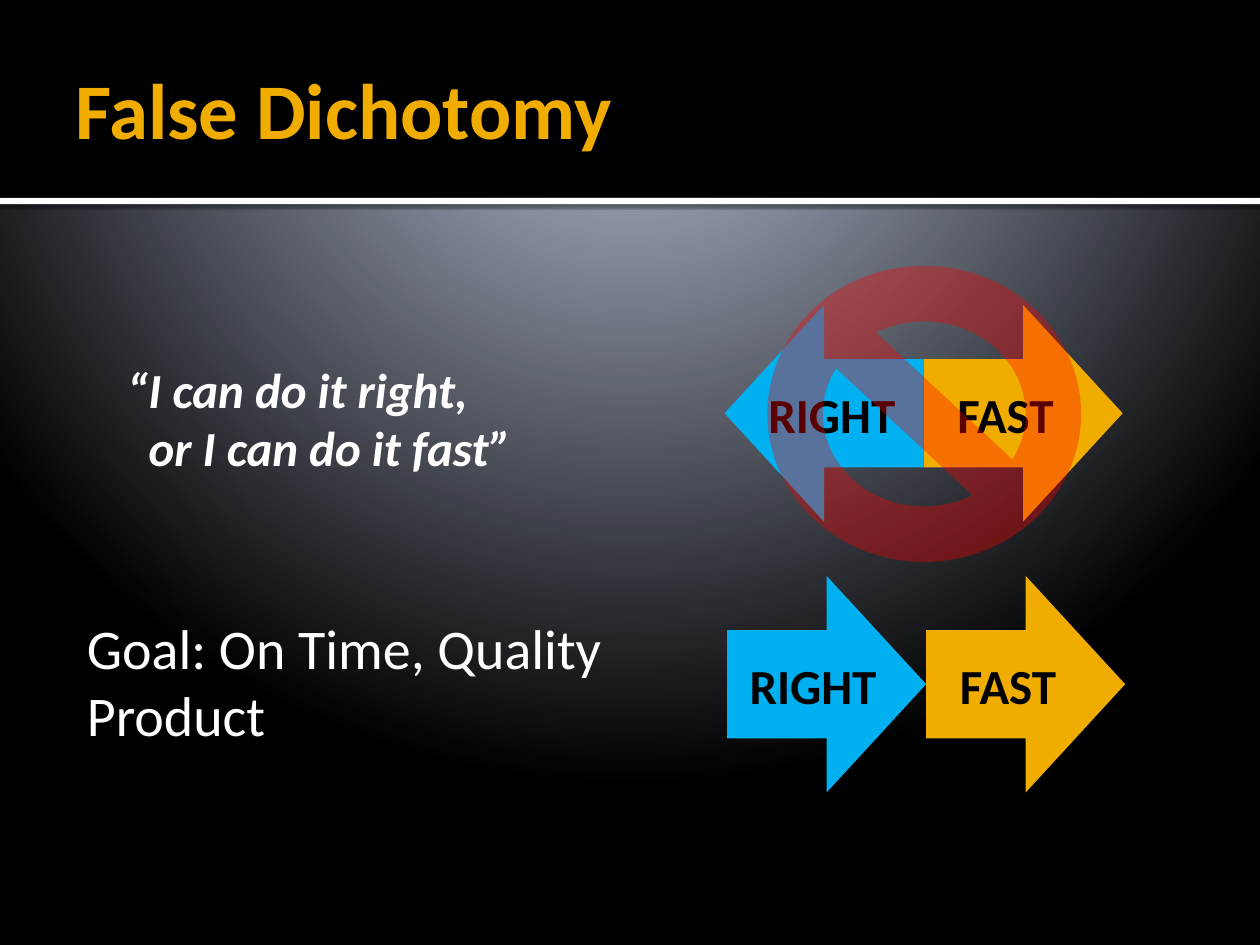
from pptx import Presentation
from pptx.dml.color import RGBColor
from pptx.enum.shapes import MSO_SHAPE
from pptx.enum.text import MSO_ANCHOR
from pptx.oxml import parse_xml
from pptx.oxml.ns import nsdecls, qn
from pptx.util import Inches, Pt

RECT, RIGHT, LEFT, BAN = (MSO_SHAPE.RECTANGLE, MSO_SHAPE.RIGHT_ARROW,
                          MSO_SHAPE.LEFT_ARROW, MSO_SHAPE.NO_SYMBOL)
TOP, MIDDLE = MSO_ANCHOR.TOP, MSO_ANCHOR.MIDDLE
WHITE, BLACK, GOLD, BLUE, RED = "FFFFFF", "000000", "F0AD00", "00B0F0", "FF0000"
NS = nsdecls("a")

prs = Presentation()
prs.slide_width, prs.slide_height = Inches(10), Inches(7.5)
slide = prs.slides.add_slide(prs.slide_layouts[6])


def draw(kind, box, color):
    shape = slide.shapes.add_shape(kind, *map(Inches, box))
    shape.shadow.inherit = False
    shape.fill.solid()
    shape.fill.fore_color.rgb = RGBColor.from_string(color)
    shape.line.fill.background()
    return shape


def write(box, paras, insets=(0.1, 0.05, 0.1, 0.05), anchor=TOP):
    """Each paragraph is (text, size, color, bold, italic, indent, space before)."""
    frame = slide.shapes.add_textbox(*map(Inches, box)).text_frame
    frame.word_wrap = True
    frame.vertical_anchor = anchor
    for side, inset in zip(("left", "top", "right", "bottom"), insets):
        setattr(frame, "margin_" + side, Inches(inset))
    for i, (text, size, color, bold, italic, indent, gap) in enumerate(paras):
        para = frame.add_paragraph() if i else frame.paragraphs[0]
        if indent:
            para._p.get_or_add_pPr().set("marL", str(Inches(indent)))
        if gap:
            para.space_before = Pt(gap)
        run = para.add_run()
        run.text = text
        style = {"name": "Calibri", "size": Pt(size), "bold": bold, "italic": italic}
        for key, value in style.items():
            setattr(run.font, key, value)
        run.font.color.rgb = RGBColor.from_string(color)


# Background: glow from above the top edge
fill = slide.background.fill
fill.gradient()
grad = slide.background._cSld.find(".//" + qn("a:gradFill"))
stops = "".join(
    f'<a:gs pos="{pos * 1000}"><a:srgbClr val="{color}"/></a:gs>'
    for pos, color in ((0, "A6A6A6"), (12, "9D9DA2"), (20, "98A0B2"), (100, BLACK)))
grad.getparent().replace(grad, parse_xml(
    f'<a:gradFill {NS} rotWithShape="1"><a:gsLst>{stops}</a:gsLst><a:path path="circle">'
    '<a:fillToRect l="10000" t="-25000" r="10000" b="125000"/></a:path></a:gradFill>'))

# Title band with a white rule below
rule = draw(RECT, (0, 1.57, 10, 0.05), WHITE)
effects = rule._element.spPr.find(qn("a:effectLst"))
effects.append(parse_xml(
    f'<a:outerShdw {NS} blurRad="{Pt(2.5)}" dist="{Pt(0.8)}" dir="5400000" '
    f'rotWithShape="0"><a:srgbClr val="{BLACK}"><a:alpha val="60000"/></a:srgbClr>'
    '</a:outerShdw>'))
draw(RECT, (0, 0, 10, 1.57), BLACK)
write((0.5, 0.17, 9, 1.37), [("False Dichotomy", 45, GOLD, True, False, 0, 0)],
      (0.1, 0.05, 0.05, 0.05), MIDDLE)

# Quote and goal
write((0.5, 2.75, 4.83, 3.75), [
    ("“I can do it right,", 28, WHITE, True, True, 0.45, 0),
    ("or I can do it fast”", 28, WHITE, True, True, 0.62, 0),
    ("Goal: On Time, Quality Product", 32, WHITE, False, False, 0.13, 78),
], (0.06, 0.1, 0.1, 0.05))

# Arrow pairs: pulling apart, then in sequence
for x, y, kind, inset in ((5.75, 2.42, LEFT, 0.25), (5.77, 4.57, RIGHT, 0.08)):
    draw(RIGHT, (x + 1.58, y, 1.58, 1.72), GOLD)
    draw(kind, (x, y, 1.58, 1.72), BLUE)
    for word, left, width in (("FAST", x + 1.75, 1.15), ("RIGHT", x + inset, 1.42)):
        write((left, y + 0.58, width, 0.57), [(word, 28, BLACK, True, False, 0, 0)])

# Translucent ban sign over the first pair
ban = draw(BAN, (6.09, 2.11, 2.49, 2.35), RED)
tint = ban._element.spPr.find(".//" + qn("a:srgbClr"))
tint.append(parse_xml(f'<a:alpha {NS} val="35000"/>'))

prs.save("out.pptx")
